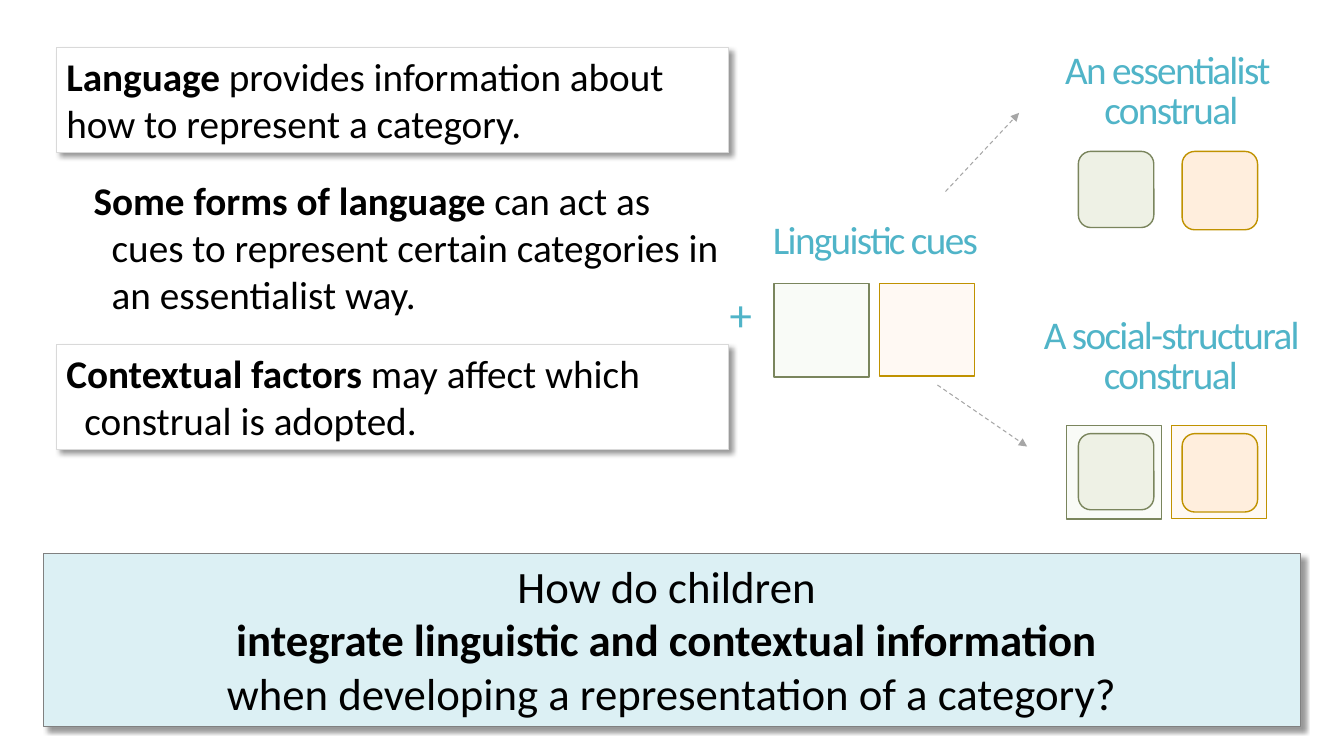
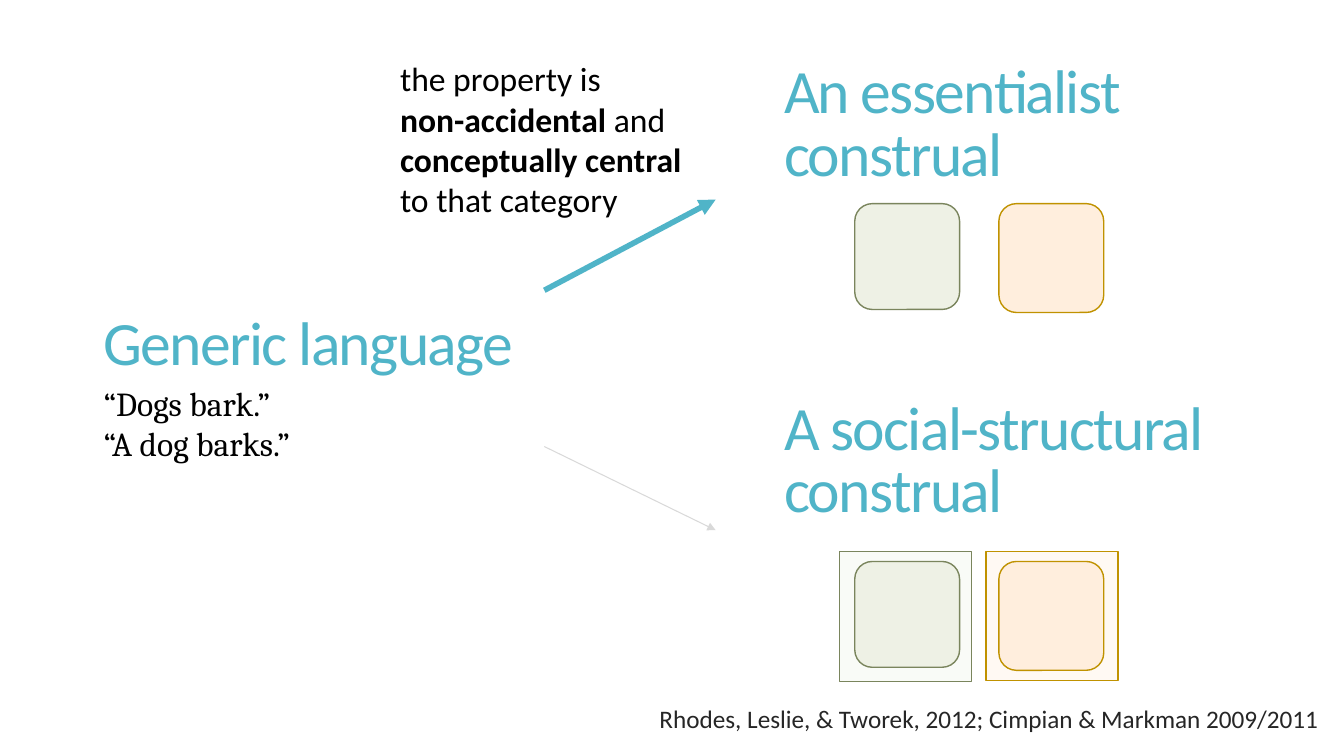
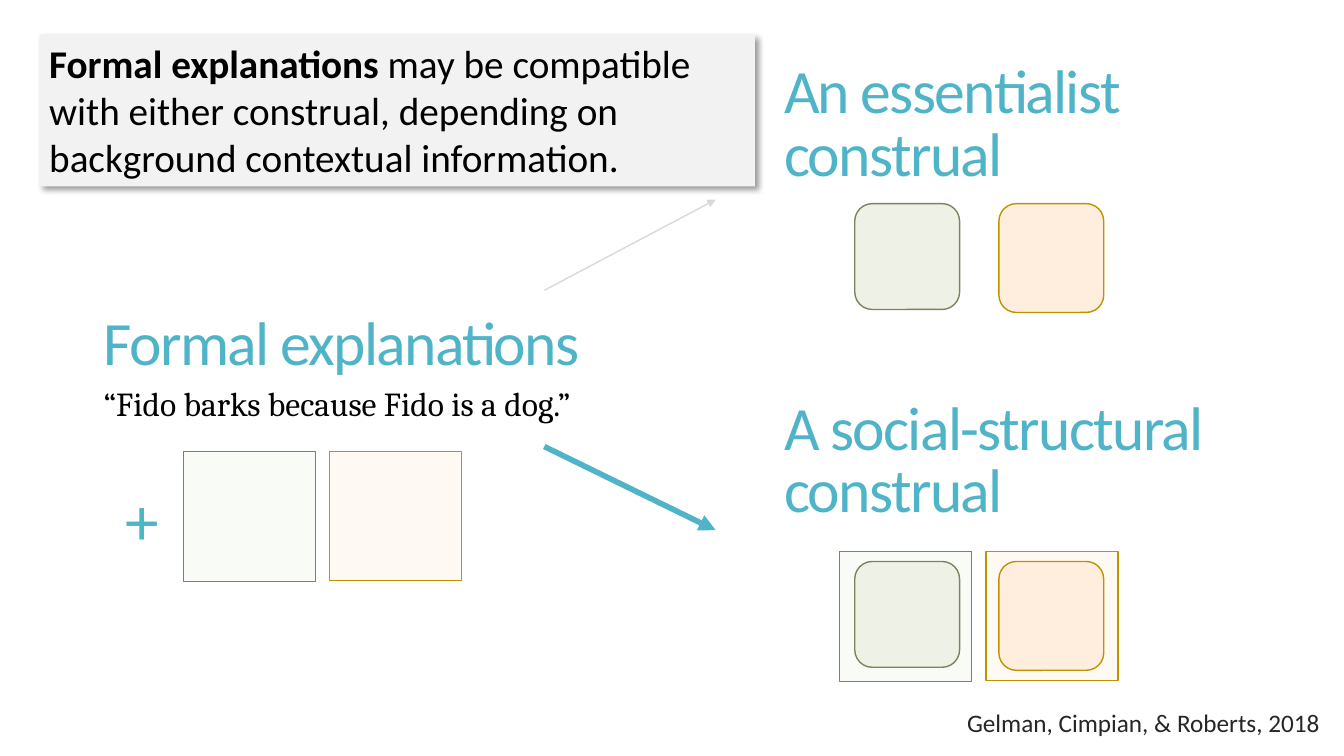
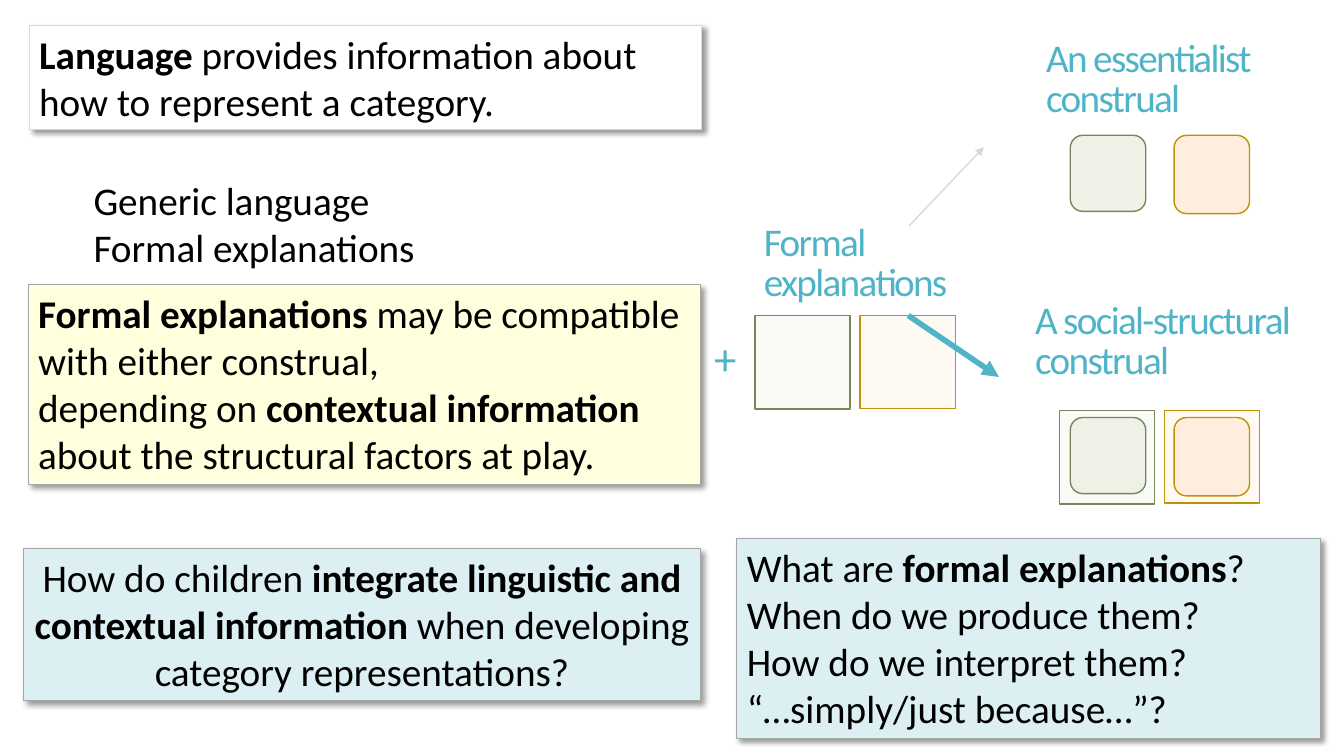
"""Builds four slides on how language and context shape the construal of a category."""
from lxml import etree
from pptx import Presentation, util as u
from pptx.dml.color import RGBColor
from pptx.enum import dml, shapes, text
from pptx.oxml.ns import qn

CELL = u.Inches(0.1)
COLS, ROWS = 133.33, 75

HUES = {
    "ink": "000000", "note": "262626", "teal": "50B4C8", "mist": "DCF0F4",
    "white": "FFFFFF", "smoke": "F2F2F2", "cream": "FFFFDD",
    "pale": "D9D9D9", "grey": "A6A6A6", "dark": "808080",
    "moss": "7A855D", "gold": "C09200",
    "sage": "EEF1E5", "peach": "FFEEDD", "frost": "F9FBF7", "sand": "FFF9F3",
}

BODY = {"size": 28}
HEAD = {"size": 28, "hue": "teal", "gap": 0.85, "track": -120, "mid": True}
HANG = {"hang": 0.18}
MIDDLE = {"align": text.PP_ALIGN.CENTER}
STYLES = {
    "body": BODY,
    "hang": BODY | HANG,
    "small": {"size": 24, "wrap": False},
    "quote": {"size": 24, "wrap": False, "font": "Cambria"},
    "head": HEAD,
    "mid head": HEAD | MIDDLE,
    "title": HEAD | {"size": 44},
    "plus": HEAD | MIDDLE | {"size": 32},
    "big plus": HEAD | {"size": 48},
    "note": {"size": 18, "hue": "note", "gap": 0.85, "align": text.PP_ALIGN.RIGHT},
    "plain": BODY | {"fill": "white", "edge": "pale"},
    "plain hang": BODY | HANG | {"fill": "white", "edge": "pale"},
    "smoke": BODY | {"fill": "smoke"},
    "cream": BODY | {"fill": "cream", "edge": "grey"},
    "mist": BODY | {"fill": "mist", "edge": "grey"},
    "mid mist": BODY | MIDDLE | {"fill": "mist", "edge": "grey"},
    "ask": BODY | MIDDLE | {"size": 32, "fill": "mist", "edge": "dark"},
}

ARROWS = {
    "dash": ("grey", 0.75, True),
    "thin": ("pale", 0.75, False),
    "faint": ("pale", 1, False),
    "strong": ("teal", 4, False),
}

TILES = {
    "frame": (shapes.MSO_SHAPE.RECTANGLE, 0, 0, 14.5, 13.1,
              [("frost", "moss", 12.9), ("sand", "gold", 12.8)]),
    "core": (shapes.MSO_SHAPE.ROUNDED_RECTANGLE, 1.5, 1, 14.3, 10.4,
             [("sage", "moss", 10.5), ("peach", "gold", 10.8)]),
}
SMALL = 0.72

ESSENCE = ["An essentialist \nconstrual"]
SOCIAL = ["A social-structural construal"]
LANGUAGE = ["**Language** provides information about how to represent a category."]

BIG_PAIRS = [("core", 83.3, 19.2, 1), ("frame", 83.3, 54.7, 1), ("core", 83.3, 54.7, 1)]
BIG_HEADS = [
    ("title", (76.8, 34.1, 49.4, 23.6), SOCIAL),
    ("title", (76.8, 0.7, 49.4, 23.6), ESSENCE),
]
UP, DOWN = (54, 28.8, 71, 19.8), (54, 44.3, 71, 52.6)

SLIDES = [
    {
        "pairs": [("frame", 76.8, 28.1, SMALL), ("core", 105.9, 14.3, SMALL),
                  ("frame", 105.8, 42.2, SMALL), ("core", 105.9, 42.3, SMALL)],
        "arrows": [("dash", (93.8, 19, 101.1, 11.2)), ("dash", (93, 38.2, 101.9, 44.3))],
        "texts": [
            ("plain", (5.6, 4.7, 66.7, 10.4), LANGUAGE),
            ("hang", (8.3, 17, 64, 15.1),
             ["**Some forms of language **can act as cues to represent certain "
              "categories in an essentialist way."]),
            ("ask", (4.3, 54.9, 124.7, 17.2),
             ["How do children \n**integrate linguistic and contextual information \n**"
              "when developing a representation of a category?"]),
            ("mid head", (75.5, 19.4, 22.7, 9.3), ["Linguistic cues"]),
            ("plus", (70.6, 28.7, 5.8, 5.7), ["+"]),
            ("plain hang", (5.6, 34.2, 66.7, 10.4),
             ["**Contextual factors **may affect which construal is adopted."]),
            ("mid head", (101.4, 27, 29.5, 17), SOCIAL),
            ("mid head", (98.4, 0.7, 35.6, 17), ESSENCE),
        ],
    },
    {
        "pairs": BIG_PAIRS,
        "arrows": [("strong", UP), ("thin", DOWN)],
        "texts": BIG_HEADS + [
            ("title", (9.3, 24.5, 42.8, 19.8), ["Generic language"]),
            ("quote", (9.3, 37.5, 21.6, 9.1), ["“Dogs bark.”", "“A dog barks.”"]),
            ("small", (38.7, 5.3, 33.8, 17.2),
             ["the property is\n**non-accidental **and\n"
              "**conceptually central\n**to that category"]),
            ("note", (60, 69.7, 71.8, 4.3),
             ["Rhodes, Leslie, & Tworek, 2012; Cimpian & Markman 2009/2011"]),
        ],
    },
    {
        "pairs": BIG_PAIRS + [("frame", 18.2, 44.8, 1)],
        "arrows": [("faint", UP), ("strong", DOWN)],
        "texts": BIG_HEADS + [
            ("title", (9.3, 24.5, 49.4, 19.8), ["Formal explanations"]),
            ("quote", (9.3, 37.5, 51.2, 5), ["“Fido barks because Fido is a dog.”"]),
            ("note", (24.8, 70.1, 107.1, 4), ["Gelman, Cimpian, & Roberts, 2018"]),
            ("big plus", (11.5, 48.2, 7.8, 7.8), ["+"]),
            ("smoke", (3.9, 3.4, 71, 15.1),
             ["**Formal explanations **may be compatible with either construal, "
              "depending on background contextual information."]),
        ],
    },
    {
        "pairs": [("frame", 74.9, 31.3, SMALL), ("core", 105.1, 12.7, SMALL),
                  ("frame", 105.1, 40.7, SMALL), ("core", 105.1, 40.7, SMALL)],
        "arrows": [("faint", (90.2, 22.4, 97.6, 14.6)), ("strong", (90.1, 31.3, 99.1, 37.4))],
        "texts": [
            ("plain", (2.9, 2.5, 66.7, 10.4), LANGUAGE),
            ("hang", (8.3, 17, 36.3, 10.4), ["Generic language", "Formal explanations"]),
            ("cream", (2.8, 28.2, 66.7, 19.9),
             ["**Formal explanations **may be compatible with either construal, \n"
              "depending on **contextual information **about the structural factors at play."]),
            ("head", (74.8, 17.7, 22.7, 17), ["Formal explanations"]),
            ("plus", (69.6, 32, 4.7, 7.8), ["+"]),
            ("mid mist", (2.3, 54.4, 67.2, 15.1),
             ["How do children **integrate linguistic and contextual information **"
              "when developing category representations?"]),
            ("mist", (73.1, 53.4, 57.9, 19.9),
             ["What are **formal explanations**? \nWhen do we produce them?",
              "How do we interpret them?", "“…simply/just because…”?"]),
            ("head", (102.8, -0.5, 23.2, 17), ESSENCE),
            ("head", (101.7, 25.5, 28.8, 17), SOCIAL),
        ],
    },
]


def grid(*cells):
    return [int(n * CELL) for n in cells]


def tint(hue):
    return RGBColor.from_string(HUES[hue])


def paint(shape, fill, edge, width):
    shape.shadow.inherit = False
    shape.fill.solid()
    shape.fill.fore_color.rgb = tint(fill)
    if edge:
        shape.line.color.rgb = tint(edge)
        shape.line.width = u.Pt(width)
    else:
        shape.line.fill.background()


def shade(shape):
    glow = etree.SubElement(shape._element.spPr.find(qn("a:effectLst")), qn("a:outerShdw"),
                            blurRad=str(u.Pt(4)), dist=str(u.Pt(3)), dir="2700000",
                            algn="tl", rotWithShape="0")
    hue = etree.SubElement(glow, qn("a:srgbClr"), val=HUES["ink"])
    etree.SubElement(hue, qn("a:alpha"), val="40000")


def add_pair(slide, kind, left, top, scale):
    form, dx, dy, step, wide, looks = TILES[kind]
    for i, (fill, edge, high) in enumerate(looks):
        box = grid(left + (dx + i * step) * scale, top + dy * scale, wide * scale, high * scale)
        paint(slide.shapes.add_shape(form, *box), fill, edge, 1)


def add_arrow(slide, kind, ends):
    hue, width, dash = ARROWS[kind]
    line = slide.shapes.add_connector(shapes.MSO_CONNECTOR.STRAIGHT, *grid(*ends))
    line.line.color.rgb = tint(hue)
    line.line.width = u.Pt(width)
    if dash:
        line.line.dash_style = dml.MSO_LINE.DASH
    etree.SubElement(line.line._get_or_add_ln(), qn("a:tailEnd"), type="triangle")
    etree.SubElement(line._element.spPr, qn("a:effectLst"))


def add_runs(para, words, style):
    for i, part in enumerate(words.split("**")):
        for j, piece in enumerate(part.split("\n")):
            if j:
                para.add_line_break()
            if not piece:
                continue
            run = para.add_run()
            run.text = piece
            font = run.font
            font.name = style.get("font", "Calibri")
            font.size = u.Pt(style["size"])
            font.bold = i % 2 == 1
            font.color.rgb = tint(style.get("hue", "ink"))
            if "track" in style:
                run._r.get_or_add_rPr().set("spc", str(style["track"]))


def add_text(slide, kind, cells, paras):
    style, box = STYLES[kind], grid(*cells)
    if "fill" in style:
        shape = slide.shapes.add_shape(shapes.MSO_SHAPE.RECTANGLE, *box)
        paint(shape, style["fill"], style.get("edge"), 0.75)
        shade(shape)
    else:
        shape = slide.shapes.add_textbox(*box)
    frame = shape.text_frame
    frame.word_wrap = style.get("wrap", True)
    anchor = text.MSO_ANCHOR
    frame.vertical_anchor = anchor.MIDDLE if style.get("mid") else anchor.TOP
    for i, words in enumerate(paras):
        para = frame.add_paragraph() if i else frame.paragraphs[0]
        para.alignment = style.get("align", text.PP_ALIGN.LEFT)
        if "gap" in style:
            para.line_spacing = style["gap"]
        if "hang" in style:
            inset = u.Inches(style["hang"])
            props = para._p.get_or_add_pPr()
            props.set("marL", str(inset))
            props.set("indent", str(-inset))
        add_runs(para, words, style)


def main():
    deck = Presentation()
    deck.slide_width, deck.slide_height = grid(COLS, ROWS)
    for page in SLIDES:
        slide = deck.slides.add_slide(deck.slide_layouts[6])
        for add, key in ((add_pair, "pairs"), (add_arrow, "arrows"), (add_text, "texts")):
            for item in page[key]:
                add(slide, *item)
    deck.save("out.pptx")


if __name__ == "__main__":
    main()
